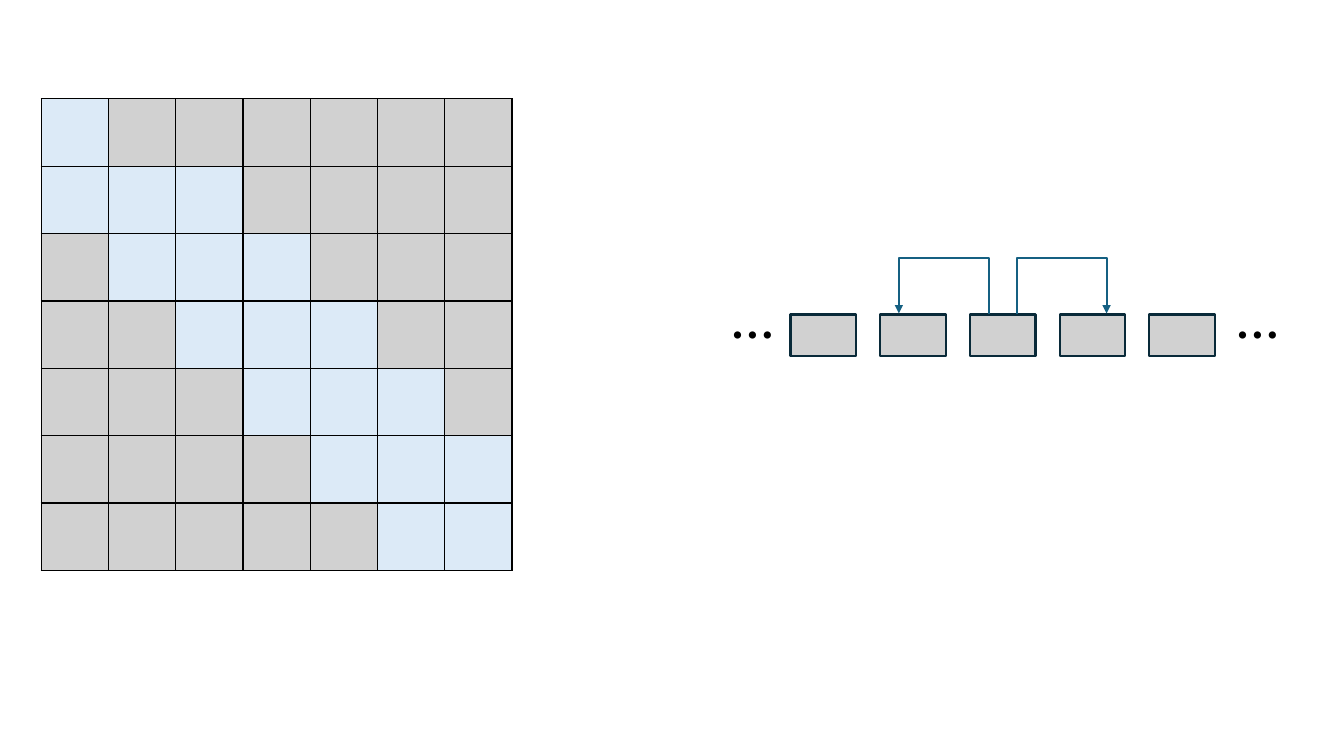
from lxml import etree
from pptx import Presentation
from pptx.dml.color import RGBColor
from pptx.enum.shapes import MSO_CONNECTOR, MSO_SHAPE
from pptx.enum.text import MSO_AUTO_SIZE
from pptx.oxml.ns import qn
from pptx.util import Inches, Pt

ELBOW = MSO_CONNECTOR.ELBOW
RECTANGLE = MSO_SHAPE.RECTANGLE
GROW_TO_TEXT = MSO_AUTO_SIZE.SHAPE_TO_FIT_TEXT

COLORS = {
    "band": "DCEAF7",
    "off_band": "D1D1D1",
    "grid": "000000",
    "node": "D1D1D1",
    "node_line": "092A39",
    "arrow": "156082",
    "text": "000000",
}
FONT = "Noto Sans CJK SC"
MATRIX_SIZE = 7
NODE_COUNT = 5


def rgb(name):
    return RGBColor.from_string(COLORS[name])


def add_cell_borders(cell):
    properties = cell._tc.get_or_add_tcPr()
    for index, side in enumerate(("lnL", "lnR", "lnT", "lnB")):
        border = etree.Element(qn(f"a:{side}"), w=str(Pt(1)))
        fill = etree.SubElement(border, qn("a:solidFill"))
        etree.SubElement(fill, qn("a:srgbClr"), val=COLORS["grid"])
        properties.insert(index, border)


def in_band(row, column):
    return abs(row - column) <= 1 and (row, column) != (0, 1)


def add_matrix(slide, left, top, width, height):
    frame = slide.shapes.add_table(
        MATRIX_SIZE, MATRIX_SIZE, Inches(left), Inches(top), Inches(width), Inches(height)
    )
    table = frame.table
    for row in range(MATRIX_SIZE):
        for column in range(MATRIX_SIZE):
            cell = table.cell(row, column)
            cell.fill.solid()
            cell.fill.fore_color.rgb = rgb("band" if in_band(row, column) else "off_band")
            add_cell_borders(cell)


def add_node(slide, left, top, width, height):
    node = slide.shapes.add_shape(
        RECTANGLE, Inches(left), Inches(top), Inches(width), Inches(height)
    )
    node.shadow.inherit = False
    node.fill.solid()
    node.fill.fore_color.rgb = rgb("node")
    node.line.color.rgb = rgb("node_line")
    node.line.width = Pt(1.5)


def add_ellipsis(slide, left, top, width, height):
    box = slide.shapes.add_textbox(Inches(left), Inches(top), Inches(width), Inches(height))
    box.text_frame.word_wrap = False
    box.text_frame.auto_size = GROW_TO_TEXT
    run = box.text_frame.paragraphs[0].add_run()
    run.text = "…"
    run.font.name = FONT
    run.font.size = Pt(32)
    run.font.bold = True
    run.font.color.rgb = rgb("text")
    properties = run._r.get_or_add_rPr()
    etree.SubElement(properties, qn("a:ea"), typeface=FONT)


def add_arch_arrow(slide, start_x, end_x, base, rise):
    depth = 0.01
    center_x = (start_x + end_x) / 2
    center_y = base - depth / 2
    half_span = abs(end_x - start_x) / 2
    direction = 1 if end_x > start_x else -1
    half_depth = direction * depth / 2
    arrow = slide.shapes.add_connector(
        ELBOW,
        Inches(center_x + half_depth),
        Inches(center_y + half_span),
        Inches(center_x - half_depth),
        Inches(center_y - half_span),
    )
    arrow.line.color.rgb = rgb("arrow")
    arrow.line.width = Pt(1.5)
    properties = arrow._element.spPr
    quarter_turn = 90 if direction == 1 else 270
    properties.find(qn("a:xfrm")).set("rot", str(quarter_turn * 60000))
    adjustments = properties.find(qn("a:prstGeom")).get_or_add_avLst()
    bend = round(rise / depth * 100000)
    etree.SubElement(adjustments, qn("a:gd"), name="adj1", fmla=f"val {bend}")
    line = properties.find(qn("a:ln"))
    etree.SubElement(line, qn("a:tailEnd"), type="triangle")
    etree.SubElement(properties, qn("a:effectLst"))


def add_chain(slide, left, top, width, height):
    node_width, node_height, pitch = 0.65, 0.41, 0.89
    first_node = left + 0.69
    node_top = top + 0.12
    for index in range(NODE_COUNT):
        add_node(slide, first_node + index * pitch, node_top, node_width, node_height)
    ellipsis_width = 0.57
    for ellipsis_left in (left, left + width - ellipsis_width):
        add_ellipsis(slide, ellipsis_left, top, ellipsis_width, height)
    middle = first_node + NODE_COUNT // 2 * pitch + node_width / 2
    for side in (-1, 1):
        start = middle + side * 0.14
        add_arch_arrow(slide, start, start + side * pitch, node_top, 0.57)


def main():
    presentation = Presentation()
    presentation.slide_width = Inches(13.33)
    presentation.slide_height = Inches(7.5)
    slide = presentation.slides.add_slide(presentation.slide_layouts[6])
    add_matrix(slide, 0.41, 0.98, 4.67, 4.68)
    add_chain(slide, 7.15, 3, 5.58, 0.64)
    presentation.save("out.pptx")


if __name__ == "__main__":
    main()
